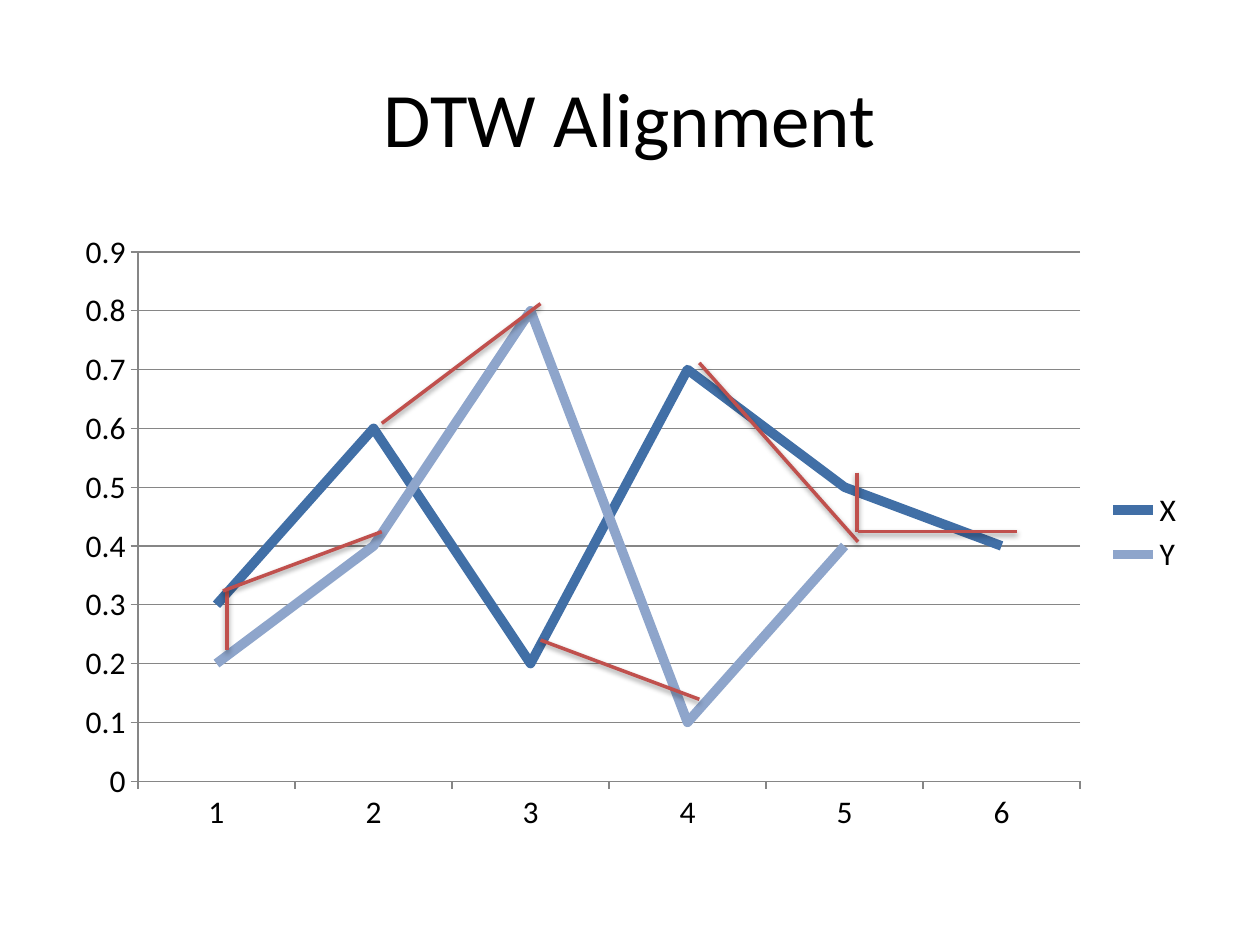
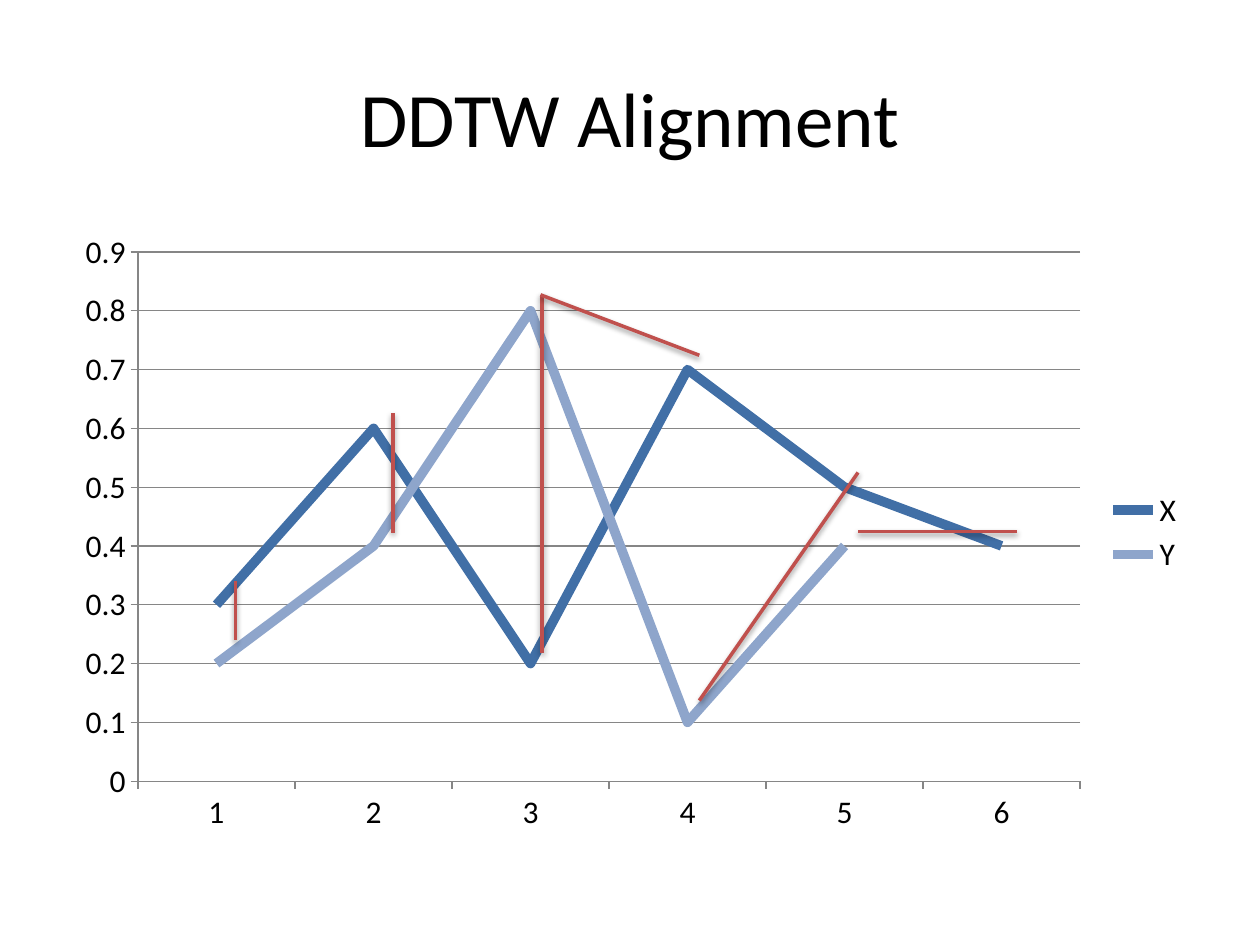
import pptx
import pptx.chart.data
import pptx.dml.color
import pptx.enum.chart
import pptx.enum.shapes
import pptx.enum.text
import pptx.oxml
import pptx.util
from pptx.util import Inches

FONT = "Calibri"
BLACK = "000000"
AXIS_GRAY = "868686"
LINK_RED = "C0504D"
CATEGORIES = ["1", "2", "3", "4", "5", "6"]
SERIES = [
    ("X", [0.3, 0.6, 0.2, 0.7, 0.5, 0.4], "416FA6"),
    ("Y", [0.2, 0.4, 0.8, 0.1, 0.4, None], "8EA5CB"),
]
SHADOW_XML = (
    '<a:effectLst xmlns:a="http://schemas.openxmlformats.org/drawingml/2006/main">'
    '<a:outerShdw blurRad="40000" dist="20000" dir="5400000" rotWithShape="0">'
    '<a:srgbClr val="000000"><a:alpha val="38000"/></a:srgbClr>'
    "</a:outerShdw></a:effectLst>"
)
ALIGNMENTS = [
    ("DTW Alignment", [
        (1.8, 4.68, 1.8, 5.16),
        (1.77, 4.69, 3.03, 4.22),
        (4.29, 2.41, 3.03, 3.36),
        (5.55, 5.55, 4.29, 5.08),
        (5.55, 2.88, 6.81, 4.3),
        (6.8, 3.75, 6.8, 4.22),
        (8.07, 4.22, 6.81, 4.22),
    ]),
    ("DDTW Alignment", [
        (1.87, 4.61, 1.87, 5.08),
        (3.12, 3.28, 3.12, 4.23),
        (4.3, 2.34, 4.3, 5.18),
        (5.55, 2.82, 4.29, 2.34),
        (6.81, 3.75, 5.55, 5.56),
        (8.07, 4.22, 6.81, 4.22),
    ]),
]


def color(value):
    return pptx.dml.color.RGBColor.from_string(value)


def format_font(font, size):
    font.name = FONT
    font.size = pptx.util.Pt(size)
    font.color.rgb = color(BLACK)


def format_line(line, line_color, width):
    line.color.rgb = color(line_color)
    line.width = pptx.util.Pt(width)


def add_title(slide, text):
    title = slide.shapes.title
    title.left, title.top = Inches(0.5), Inches(0.3)
    title.width, title.height = Inches(9), Inches(1.25)
    frame = title.text_frame
    frame.text = text
    frame.vertical_anchor = pptx.enum.text.MSO_ANCHOR.MIDDLE
    paragraph = frame.paragraphs[0]
    paragraph.alignment = pptx.enum.text.PP_ALIGN.CENTER
    format_font(paragraph.font, 44)


def add_series_chart(slide):
    data = pptx.chart.data.CategoryChartData()
    data.categories = CATEGORIES
    for name, values, _ in SERIES:
        data.add_series(name, values)
    chart = slide.shapes.add_chart(
        pptx.enum.chart.XL_CHART_TYPE.LINE,
        Inches(0.5), Inches(1.75), Inches(9), Inches(4.95), data,
    ).chart
    format_font(chart.font, 18)
    chart.has_title = False
    chart.has_legend = True
    chart.legend.position = pptx.enum.chart.XL_LEGEND_POSITION.RIGHT
    chart.legend.include_in_layout = False
    chart.plots[0].vary_by_categories = False
    for series, (_, _, series_color) in zip(chart.plots[0].series, SERIES):
        series.smooth = False
        series.marker.style = pptx.enum.chart.XL_MARKER_STYLE.NONE
        format_line(series.format.line, series_color, 5.5)
    for axis in (chart.category_axis, chart.value_axis):
        axis.major_tick_mark = pptx.enum.chart.XL_TICK_MARK.OUTSIDE
        format_line(axis.format.line, AXIS_GRAY, 0.75)
    value_axis = chart.value_axis
    value_axis.minimum_scale, value_axis.maximum_scale = 0, 0.9
    value_axis.major_unit = 0.1
    value_axis.has_major_gridlines = True
    format_line(value_axis.major_gridlines.format.line, AXIS_GRAY, 0.75)


def add_link(slide, ends):
    link = slide.shapes.add_connector(
        pptx.enum.shapes.MSO_CONNECTOR.STRAIGHT, *map(Inches, ends)
    )
    format_line(link.line, LINK_RED, 2)
    link._element.spPr.append(pptx.oxml.parse_xml(SHADOW_XML))


def main():
    presentation = pptx.Presentation()
    presentation.slide_width = Inches(10)
    presentation.slide_height = Inches(7.5)
    for title, links in ALIGNMENTS:
        slide = presentation.slides.add_slide(presentation.slide_layouts[5])
        add_title(slide, title)
        add_series_chart(slide)
        for ends in links:
            add_link(slide, ends)
    presentation.save("out.pptx")


if __name__ == "__main__":
    main()
